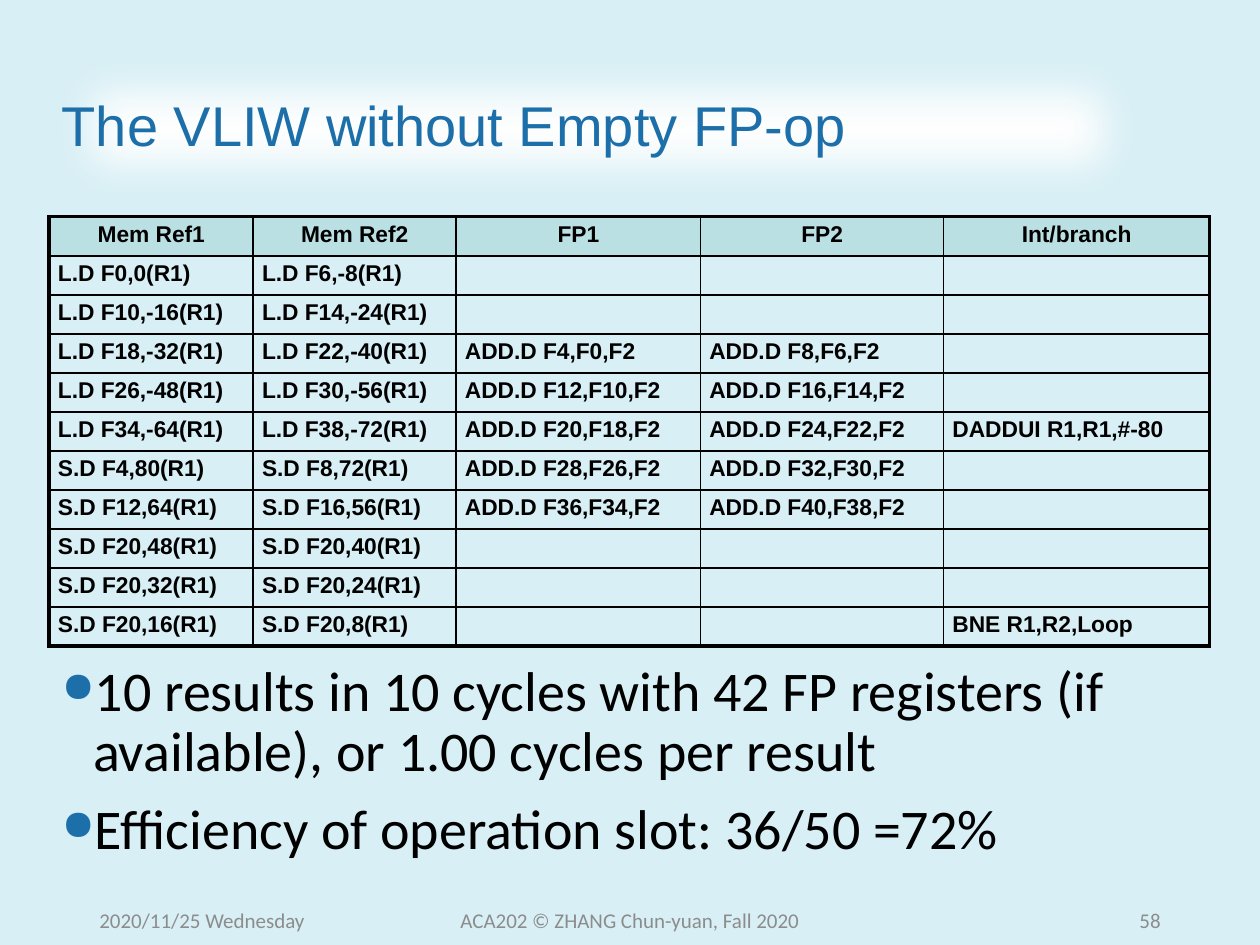
from lxml import etree
from pptx import Presentation
from pptx import util as u
from pptx.dml.color import RGBColor
from pptx.enum import text
from pptx.oxml import parse_xml
from pptx.oxml.ns import nsdecls, qn

Inches, Pt = u.Inches, u.Pt
BLUE, BLACK, GREY = "1D6FA9", "000000", "8C8C8C"


def rgb(value):
    return RGBColor.from_string(value)


def style(paragraph, font, size, color, bold=False):
    for run in paragraph.runs:
        run.font.name, run.font.size, run.font.bold = font, Pt(size), bold
        run.font.color.rgb = rgb(color)


prs = Presentation()
prs.slide_width, prs.slide_height = Inches(10), Inches(7.5)
slide = prs.slides.add_slide(prs.slide_layouts[5])
slide.background.fill.solid()
slide.background.fill.fore_color.rgb = rgb("D7EFF5")

# Title on a white band with soft edges
title = slide.shapes.title
title.left, title.top, title.width, title.height = (
    Inches(n) for n in (0.39, 0.4, 8.69, 1.23))
title.fill.solid()
title.fill.fore_color.rgb = rgb("FFFFFF")
title._element.spPr.append(parse_xml(
    f'<a:effectLst {nsdecls("a")}><a:softEdge rad="{Pt(25)}"/></a:effectLst>'))
title.text_frame.text = "The VLIW without Empty FP-op"
title.text_frame.vertical_anchor = text.MSO_ANCHOR.MIDDLE
heading = title.text_frame.paragraphs[0]
heading.alignment, heading.line_spacing = text.PP_ALIGN.LEFT, 0.9
style(heading, "Arial", 32, BLUE)

# Instruction schedule
schedule = [
    ("Mem Ref1", "Mem Ref2", "FP1", "FP2", "Int/branch"),
    ("L.D F0,0(R1)", "L.D F6,-8(R1)", "", "", ""),
    ("L.D F10,-16(R1)", "L.D F14,-24(R1)", "", "", ""),
    ("L.D F18,-32(R1)", "L.D F22,-40(R1)", "ADD.D F4,F0,F2", "ADD.D F8,F6,F2", ""),
    ("L.D F26,-48(R1)", "L.D F30,-56(R1)", "ADD.D F12,F10,F2", "ADD.D F16,F14,F2", ""),
    ("L.D F34,-64(R1)", "L.D F38,-72(R1)", "ADD.D F20,F18,F2", "ADD.D F24,F22,F2",
     "DADDUI R1,R1,#-80"),
    ("S.D F4,80(R1)", "S.D F8,72(R1)", "ADD.D F28,F26,F2", "ADD.D F32,F30,F2", ""),
    ("S.D F12,64(R1)", "S.D F16,56(R1)", "ADD.D F36,F34,F2", "ADD.D F40,F38,F2", ""),
    ("S.D F20,48(R1)", "S.D F20,40(R1)", "", "", ""),
    ("S.D F20,32(R1)", "S.D F20,24(R1)", "", "", ""),
    ("S.D F20,16(R1)", "S.D F20,8(R1)", "", "", "BNE R1,R2,Loop"),
]
widths = (1.62, 1.61, 1.94, 1.93, 2.11)
last_row, last_col = len(schedule) - 1, len(widths) - 1
table = slide.shapes.add_table(
    len(schedule), len(widths), Inches(0.39), Inches(1.72), Inches(9.22), Inches(3.41)).table
table.first_row = table.horz_banding = False
for column, width in zip(table.columns, widths):
    column.width = Inches(width)

for r, instructions in enumerate(schedule):
    table.rows[r].height = Inches(0.31)
    for c, instruction in enumerate(instructions):
        cell = table.cell(r, c)
        cell.vertical_anchor = text.MSO_ANCHOR.MIDDLE
        cell.margin_left = cell.margin_right = Inches(0.07)
        cell.margin_top = cell.margin_bottom = Inches(0.04)
        cell.text_frame.text = instruction
        entry = cell.text_frame.paragraphs[0]
        entry.line_spacing = 0.8
        entry.alignment = text.PP_ALIGN.LEFT if r else text.PP_ALIGN.CENTER
        style(entry, "Arial", 13, BLACK, bold=True)
        if not instruction:  # keeps empty rows from growing
            etree.SubElement(entry._p, qn("a:endParaRPr"), sz="1300")
        outer_edges = {"L": c == 0, "R": c == last_col, "T": r == 0, "B": r == last_row}
        for side, outer in outer_edges.items():
            cell._tc.get_or_add_tcPr().append(parse_xml(
                f'<a:ln{side} {nsdecls("a")} w="{Pt(2.25 if outer else 1)}"><a:solidFill>'
                f'<a:srgbClr val="{BLACK}"/></a:solidFill></a:ln{side}>'))
        if r == 0:
            cell.fill.solid()
            cell.fill.fore_color.rgb = rgb("BBE0E3")
        else:
            cell.fill.background()

# Conclusions
conclusions = slide.shapes.add_textbox(
    Inches(0.39), Inches(5.21), Inches(9.22), Inches(1.84)).text_frame
conclusions.word_wrap = True
conclusions.text = ("10 results in 10 cycles with 42 FP registers (if available), "
                    "or 1.00 cycles per result\n"
                    "Efficiency of operation slot: 36/50 =72%")
for point in conclusions.paragraphs:
    point.line_spacing, point.space_before = 0.9, Pt(10)
    style(point, "Calibri", 32, BLACK)
    props = point._p.get_or_add_pPr()
    props.set("marL", str(Inches(0.25)))
    props.set("indent", str(-Inches(0.25)))
    for bullet in (f'<a:buClr {nsdecls("a")}><a:srgbClr val="{BLUE}"/></a:buClr>',
                   f'<a:buSzPct {nsdecls("a")} val="75000"/>',
                   f'<a:buChar {nsdecls("a")} char="●"/>'):
        props.append(parse_xml(bullet))

# Footer line
for label, left, width, align in (
        ("2020/11/25 Wednesday", 0.69, 2.25, text.PP_ALIGN.LEFT),
        ("ACA202 © ZHANG Chun-yuan, Fall 2020", 3.31, 3.38, text.PP_ALIGN.CENTER),
        ("58", 7.06, 2.25, text.PP_ALIGN.RIGHT)):
    footer = slide.shapes.add_textbox(
        Inches(left), Inches(7.1), Inches(width), Inches(0.4)).text_frame
    footer.word_wrap = True
    footer.vertical_anchor = text.MSO_ANCHOR.MIDDLE
    footer.text = label
    footer.paragraphs[0].alignment = align
    style(footer.paragraphs[0], "Calibri", 12, GREY)

prs.save("out.pptx")
